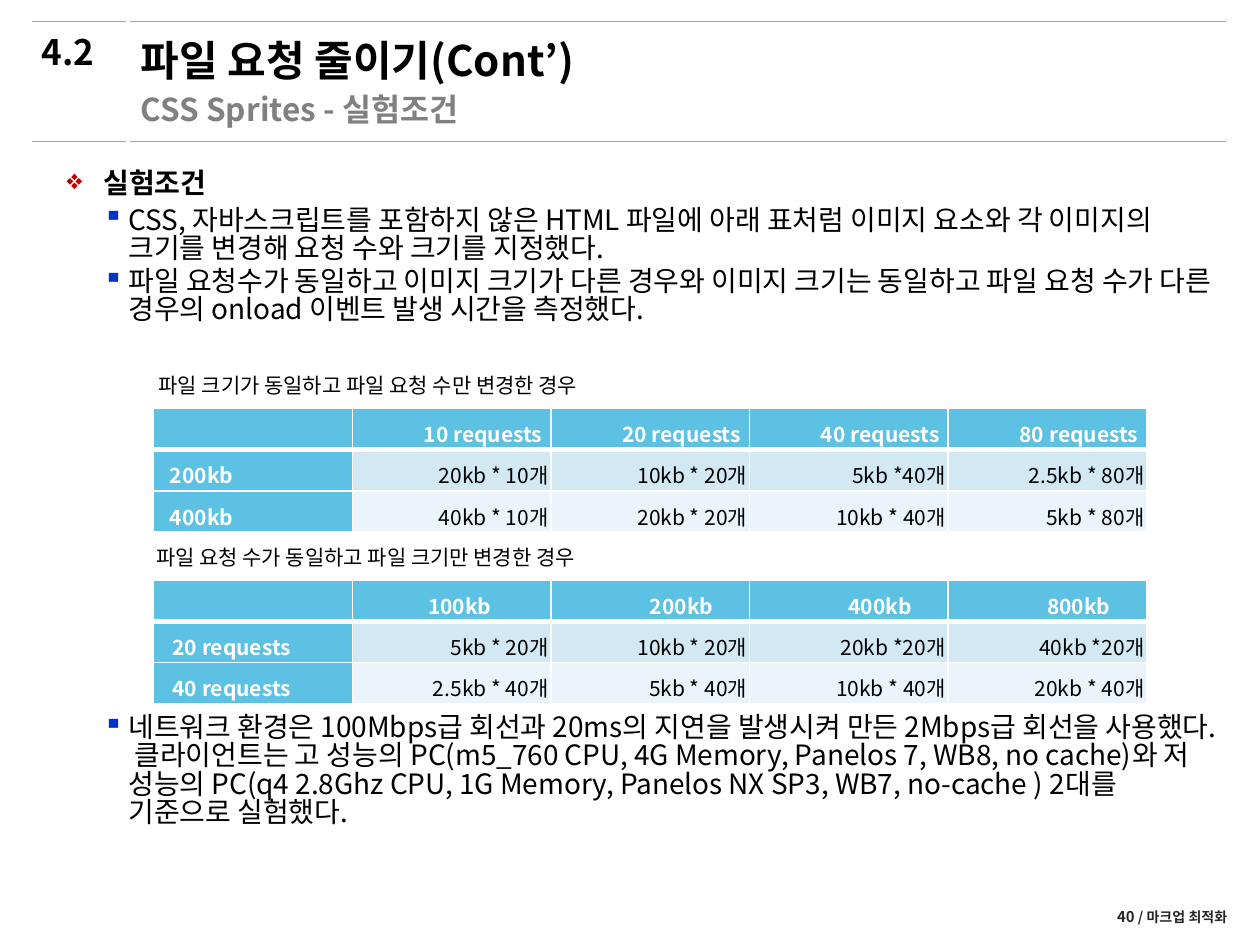
from dataclasses import dataclass
from typing import Optional

import lxml.etree
import pptx
import pptx.dml.color
import pptx.enum.shapes
import pptx.enum.text
import pptx.oxml.ns
import pptx.util

Pt = pptx.util.Pt
Align = pptx.enum.text.PP_ALIGN
Anchor = pptx.enum.text.MSO_ANCHOR


@dataclass(frozen=True)
class Theme:
    font: str = "Noto Sans CJK KR"
    black: str = "000000"
    white: str = "FFFFFF"
    subtitle_gray: str = "808080"
    footer_gray: str = "262626"
    rule_gray: str = "A6A6A6"
    header_blue: str = "5DC1E3"
    bands: tuple = ("D2E9F4", "EAF4FA")
    title: float = 24
    section: float = 20
    subtitle: float = 18
    body: float = 16
    small: float = 12
    page: float = 8.5
    footer: float = 8


THEME = Theme()


@dataclass(frozen=True)
class Label:
    text: str
    left: float
    top: float
    width: float
    height: float
    size: float
    color: str = THEME.black
    bold: bool = False
    spacing: float = 0.9
    anchor: Anchor = Anchor.TOP


@dataclass(frozen=True)
class Bullet:
    char: str
    color: str
    left: float
    hanging: float
    after: float
    bold: bool


@dataclass(frozen=True)
class Grid:
    top: float
    rows: tuple
    row_indent: float
    first_header_indent: float


TOPIC = Bullet("❖", "C00000", 21, 21, 2, True)
POINT = Bullet("▪", "0033CC", 35.3, 14.4, 0.1, False)

LABELS = (
    Label("파일 요청 줄이기(Cont’)", 73.4, 16.6, 610.6, 34.6, THEME.title,
          bold=True, spacing=1, anchor=Anchor.MIDDLE),
    Label("CSS Sprites - 실험조건", 73.4, 50.4, 564.5, 28, THEME.subtitle,
          THEME.subtitle_gray, bold=True),
    Label("4.2", 16.6, 16.6, 50.4, 33.8, THEME.section, bold=True),
    Label("파일 크기가 동일하고 파일 요청 수만 변경한 경우", 83.5, 211.2, 480, 21.6, THEME.small),
    Label("파일 요청 수가 동일하고 파일 크기만 변경한 경우", 82.1, 309.2, 470, 21.6, THEME.small),
)
CONDITIONS = (
    (TOPIC, "실험조건"),
    (POINT, "CSS, 자바스크립트를 포함하지 않은 HTML 파일에 아래 표처럼 이미지 요소와 "
            "각 이미지의 크기를 변경해 요청 수와 크기를 지정했다."),
    (POINT, "파일 요청수가 동일하고 이미지 크기가 다른 경우와 이미지 크기는 동일하고 "
            "파일 요청 수가 다른 경우의 onload 이벤트 발생 시간을 측정했다."),
)
ENVIRONMENT = (
    (POINT, "네트워크 환경은 100Mbps급 회선과 20ms의 지연을 발생시켜 만든 2Mbps급 회선을 사용했다. "
            "클라이언트는 고 성능의 PC(m5_760 CPU, 4G Memory, Panelos 7, WB8, no cache)와 "
            "저 성능의 PC(q4 2.8Ghz CPU, 1G Memory, Panelos NX SP3, WB7, no-cache ) "
            "2대를 기준으로 실험했다."),
)
GRIDS = (
    Grid(233.3, (
        ("", "10 requests", "20 requests", "40 requests", "80 requests"),
        ("200kb", "20kb * 10개", "10kb * 20개", "5kb *40개", "2.5kb * 80개"),
        ("400kb", "40kb * 10개", "20kb * 20개", "10kb * 40개", "5kb * 80개"),
    ), 7.9, 36),
    Grid(331.4, (
        ("", "100kb", "200kb", "400kb", "800kb"),
        ("20 requests", "5kb * 20개", "10kb * 20개", "20kb *20개", "40kb *20개"),
        ("40 requests", "2.5kb * 40개", "5kb * 40개", "10kb * 40개", "20kb * 40개"),
    ), 9.4, 9.4),
)


def rgb(color: str):
    return pptx.dml.color.RGBColor.from_string(color)


def add_xml(parent, tag: str, **attributes: str):
    return lxml.etree.SubElement(parent, pptx.oxml.ns.qn(tag), attributes)


def format_run(run, size: float, color: str, bold: bool) -> None:
    run.font.size = Pt(size)
    run.font.bold = bold
    run.font.color.rgb = rgb(color)
    run.font.name = THEME.font
    add_xml(run.font._element, "a:ea", typeface=THEME.font)


def add_frame(slide, left: float, top: float, width: float, height: float,
              anchor: Anchor = Anchor.TOP):
    frame = slide.shapes.add_textbox(Pt(left), Pt(top), Pt(width), Pt(height)).text_frame
    frame.word_wrap = True
    frame.vertical_anchor = anchor
    return frame


def draw_label(slide, label: Label) -> None:
    frame = add_frame(slide, label.left, label.top, label.width, label.height, label.anchor)
    frame.text = label.text
    frame.paragraphs[0].line_spacing = label.spacing
    format_run(frame.paragraphs[0].runs[0], label.size, label.color, label.bold)


def draw_bullets(slide, top: float, height: float, items: tuple) -> None:
    frame = add_frame(slide, 31, top, 668.9, height)
    frame.text = "\n".join(text for _, text in items)
    for index, (paragraph, (bullet, _)) in enumerate(zip(frame.paragraphs, items)):
        paragraph.line_spacing = 0.84
        paragraph.space_before = Pt(2.7 if index else 0)
        paragraph.space_after = Pt(bullet.after)
        paragraph.level = 0 if bullet is TOPIC else 1
        set_indent(paragraph, bullet.left, -bullet.hanging)
        properties = paragraph._p.get_or_add_pPr()
        add_xml(add_xml(properties, "a:buClr"), "a:srgbClr", val=bullet.color)
        add_xml(properties, "a:buChar", char=bullet.char)
        format_run(paragraph.runs[0], THEME.body, THEME.black, bullet.bold)


def set_indent(paragraph, left: float, first: float = 0) -> None:
    properties = paragraph._p.get_or_add_pPr()
    properties.set("marL", str(int(Pt(left))))
    properties.set("indent", str(int(Pt(first))))


def set_borders(cell, bottom: float, top: float) -> None:
    properties = cell._tc.get_or_add_tcPr()
    for side, width in (("L", 1), ("R", 1), ("T", top), ("B", bottom)):
        line = add_xml(properties, f"a:ln{side}", w=str(int(Pt(width))))
        add_xml(add_xml(line, "a:solidFill"), "a:srgbClr", val=THEME.white)


def draw_cell(cell, text: str, fill: str, color: str, bold: bool,
              align: Optional[Align], indent: float) -> None:
    cell.margin_left = cell.margin_right = Pt(1.4)
    cell.margin_top = cell.margin_bottom = Pt(0)
    cell.vertical_anchor = Anchor.MIDDLE
    cell.fill.solid()
    cell.fill.fore_color.rgb = rgb(fill)
    cell.text_frame.text = text
    paragraph = cell.text_frame.paragraphs[0]
    if not text:
        add_xml(paragraph._p, "a:endParaRPr", sz=str(int(THEME.small * 100)))
        return
    paragraph.alignment = align
    paragraph.line_spacing = 1.3
    set_indent(paragraph, indent)
    format_run(paragraph.runs[0], THEME.small, color, bold)


def draw_grid(slide, grid: Grid) -> None:
    row_count, column_count = len(grid.rows), len(grid.rows[0])
    table = slide.shapes.add_table(row_count, column_count, Pt(87.8), Pt(grid.top),
                                   Pt(113.5 * column_count), Pt(23.6 * row_count)).table
    for r, texts in enumerate(grid.rows):
        table.rows[r].height = Pt(23.6)
        for c, text in enumerate(texts):
            cell = table.cell(r, c)
            set_borders(cell, bottom=1 if r else 3, top=3 if r == 1 else 1)
            if r == 0:
                indent = grid.first_header_indent if c == 1 else 36
                draw_cell(cell, text, THEME.header_blue, THEME.white, True, Align.CENTER, indent)
            elif c == 0:
                draw_cell(cell, text, THEME.header_blue, THEME.white, True, Align.LEFT,
                          grid.row_indent)
            else:
                draw_cell(cell, text, THEME.bands[r - 1], THEME.black, False, Align.RIGHT, 36)


def draw_rule(slide, left: float, right: float, y: float) -> None:
    rule = slide.shapes.add_connector(pptx.enum.shapes.MSO_CONNECTOR.STRAIGHT,
                                      Pt(left), Pt(y), Pt(right), Pt(y))
    rule.line.color.rgb = rgb(THEME.rule_gray)
    rule.line.width = Pt(0.25)
    add_xml(rule._element.spPr, "a:effectLst")


def draw_footer(slide) -> None:
    paragraph = add_frame(slide, 489.6, 514, 218.9, 19.4, Anchor.MIDDLE).paragraphs[0]
    paragraph.alignment = Align.RIGHT
    for text, size in (("40", THEME.page), (" / 마크업 최적화", THEME.footer)):
        run = paragraph.add_run()
        run.text = text
        format_run(run, size, THEME.footer_gray, True)


def main() -> None:
    deck = pptx.Presentation()
    deck.slide_width, deck.slide_height = Pt(720), Pt(540)
    slide = deck.slides.add_slide(deck.slide_layouts[6])
    draw_footer(slide)
    for left, right in ((74.2, 700.6), (18, 72)):
        for y in (80.6, 12.2):
            draw_rule(slide, left, right, y)
    for label in LABELS:
        draw_label(slide, label)
    draw_bullets(slide, 94.3, 115, CONDITIONS)
    draw_bullets(slide, 405.1, 91.7, ENVIRONMENT)
    for grid in GRIDS:
        draw_grid(slide, grid)
    deck.save("out.pptx")


if __name__ == "__main__":
    main()
